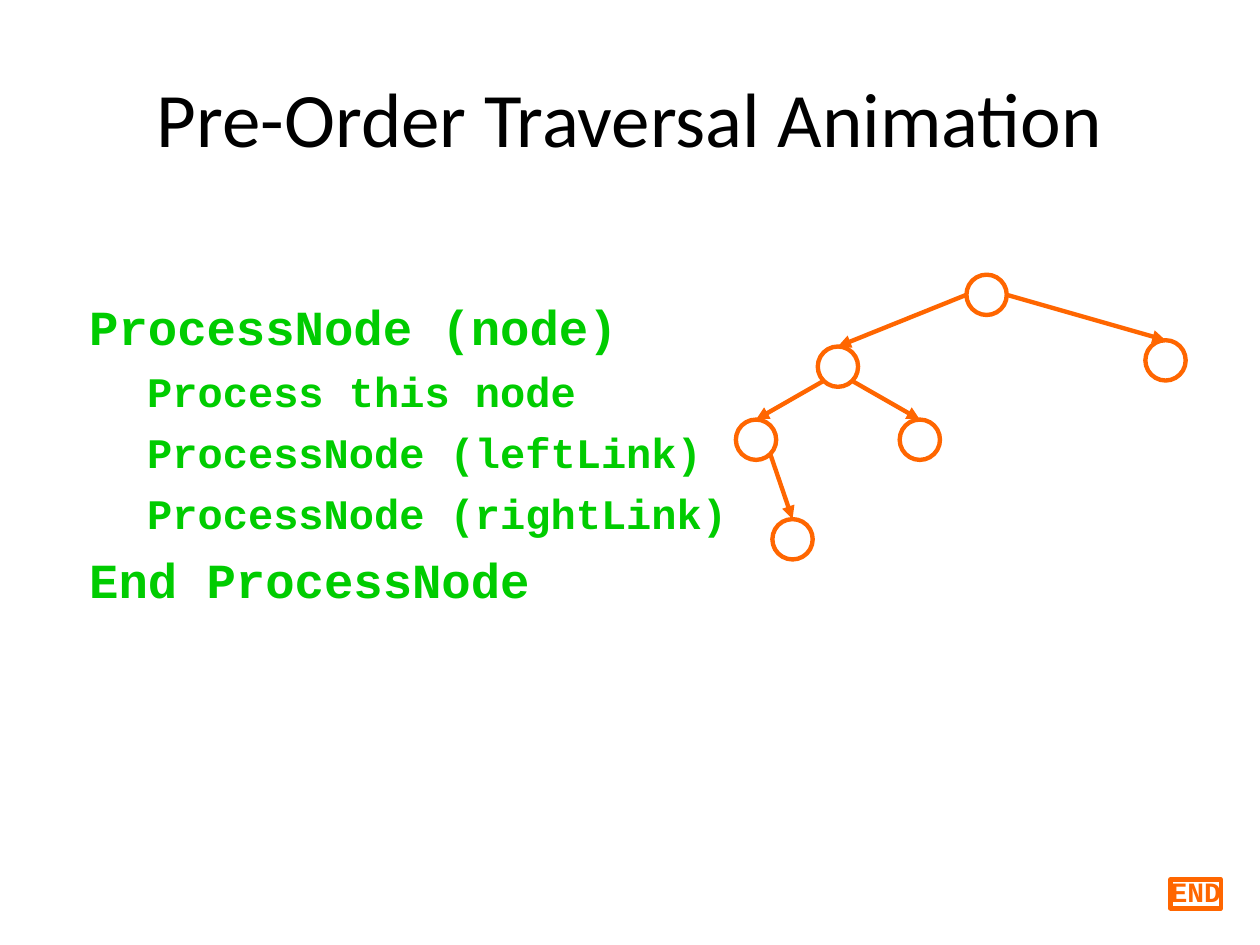
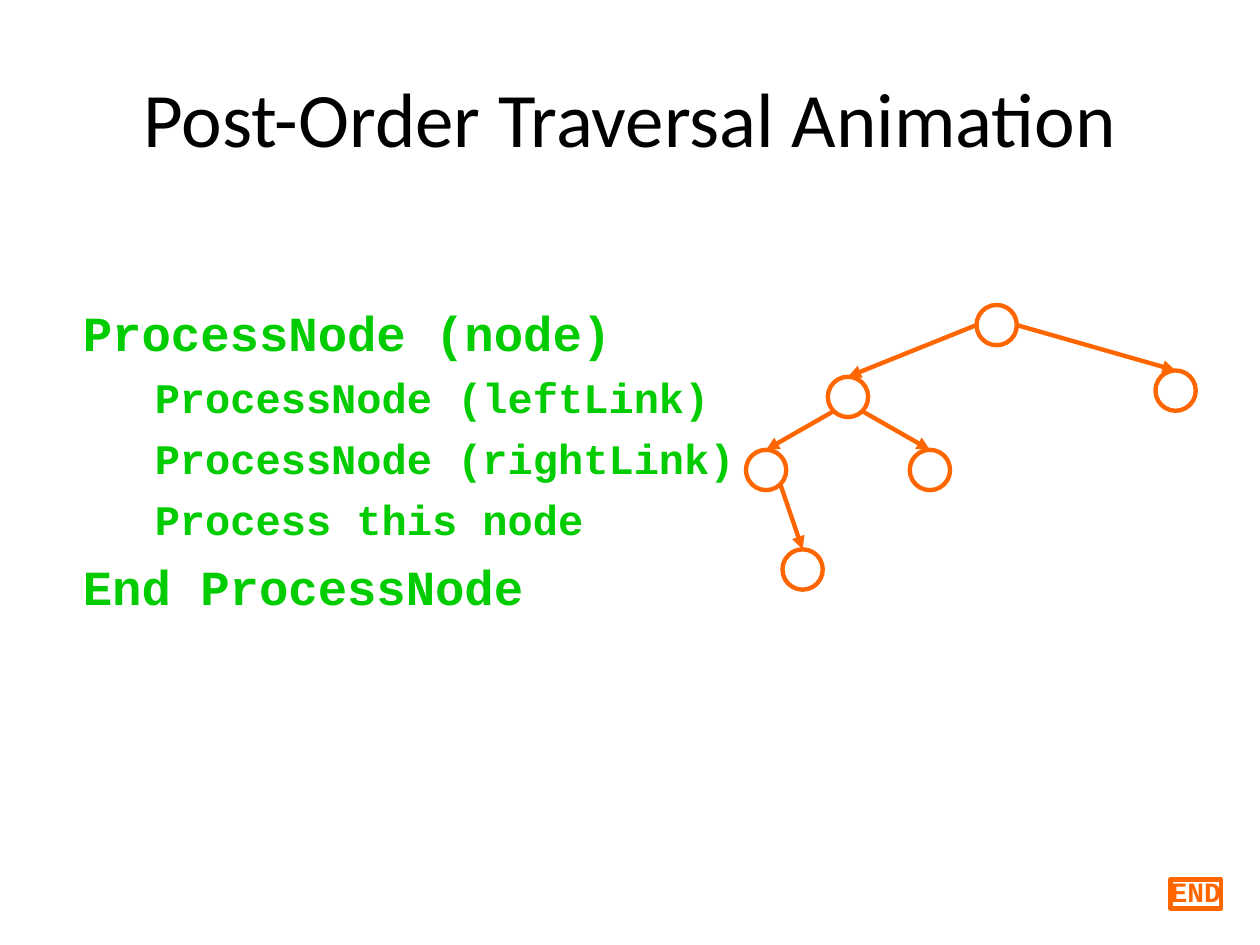
"""Build two slides that set traversal pseudocode beside a binary tree."""
import math
from dataclasses import dataclass

import lxml.etree
import pptx
import pptx.dml.color
import pptx.enum.shapes
import pptx.enum.text
import pptx.oxml.ns
import pptx.util
from pptx.util import Inches

BLACK = pptx.dml.color.RGBColor(0x00, 0x00, 0x00)
WHITE = pptx.dml.color.RGBColor(0xFF, 0xFF, 0xFF)
GREEN = pptx.dml.color.RGBColor(0x00, 0xCC, 0x00)
ORANGE = pptx.dml.color.RGBColor(0xFF, 0x66, 0x00)

TITLE_FONT = {"name": "Calibri", "size": pptx.util.Pt(44), "bold": False}
OUTER_FONT = {"name": "Courier New", "size": pptx.util.Pt(28), "bold": True}
INNER_FONT = OUTER_FONT | {"size": pptx.util.Pt(24)}
END_FONT = OUTER_FONT | {"size": pptx.util.Pt(16)}

LINE_WIDTH = pptx.util.Pt(2.5)
NODE_SIZE = 0.32
OUTER_INDENT = 0.81
TITLE_ONLY_LAYOUT = 5


@dataclass(frozen=True)
class TreeNode:
    """A circle, placed relative to the root of the tree."""

    name: str
    left: float
    top: float


@dataclass(frozen=True)
class Branch:
    """An arrow leaving the parent's rim at an angle, to the top of the child."""

    parent: str
    child: str
    degrees: float


@dataclass(frozen=True)
class Traversal:
    """The content that differs from slide to slide."""

    title: str
    steps: tuple[str, ...]
    code_left: float
    code_top: float
    step_indent: float
    tree_left: float
    tree_top: float


NODES = (
    TreeNode("root", 0, 0),
    TreeNode("left", -1.18, 0.57),
    TreeNode("right", 1.42, 0.52),
    TreeNode("left left", -1.83, 1.15),
    TreeNode("left right", -0.53, 1.15),
    TreeNode("leaf", -1.54, 1.94),
)
BRANCHES = (
    Branch("root", "left", 180),
    Branch("left", "left left", 135),
    Branch("left", "left right", 45),
    Branch("left left", "leaf", 45),
    Branch("root", "right", 0),
)
VISIT = "Process this node"
RECURSE = ("ProcessNode (leftLink)", "ProcessNode (rightLink)")
TRAVERSALS = (
    Traversal("Pre-Order Traversal Animation", (VISIT, *RECURSE),
              -0.2, 1.64, 1.27, 7.67, 2.18),
    Traversal("Post-Order Traversal Animation", (*RECURSE, VISIT),
              -0.25, 1.69, 1.38, 7.75, 2.42),
)


def apply_format(target, values: dict) -> None:
    """Set every attribute named in a dict of format values."""
    for name, value in values.items():
        setattr(target, name, value)


def write_paragraph(paragraph, text: str, font: dict, color) -> None:
    """Write one run of formatted text."""
    run = paragraph.add_run()
    run.text = text
    apply_format(run.font, font)
    run.font.color.rgb = color


def draw_outline(line) -> None:
    """Give a shape or connector the shared orange line."""
    line.color.rgb = ORANGE
    line.width = LINE_WIDTH


def draw_title(slide, text: str) -> None:
    """Place and format the title placeholder."""
    title = slide.shapes.title
    apply_format(title, {"left": Inches(0.5), "top": Inches(0.3),
                         "width": Inches(9), "height": Inches(1.25)})
    title.text_frame.vertical_anchor = pptx.enum.text.MSO_ANCHOR.MIDDLE
    paragraph = title.text_frame.paragraphs[0]
    paragraph.alignment = pptx.enum.text.PP_ALIGN.CENTER
    write_paragraph(paragraph, text, TITLE_FONT, BLACK)


def draw_code(slide, traversal: Traversal) -> None:
    """Write the pseudocode with its steps indented."""
    box = slide.shapes.add_textbox(Inches(traversal.code_left), Inches(traversal.code_top),
                                   Inches(8.98), Inches(5.28))
    frame = box.text_frame
    apply_format(frame, {"word_wrap": True, "margin_top": Inches(0.71)})
    outer = (0, OUTER_INDENT, OUTER_FONT, 7)
    inner = (1, traversal.step_indent, INNER_FONT, 6)
    lines = [("ProcessNode (node)", outer),
             *((step, inner) for step in traversal.steps),
             ("End ProcessNode", outer)]
    for index, (text, (level, indent, font, space)) in enumerate(lines):
        paragraph = frame.add_paragraph() if index else frame.paragraphs[0]
        apply_format(paragraph, {"level": level,
                                 "space_before": pptx.util.Pt(space if index else 0)})
        paragraph._p.get_or_add_pPr().set("marL", str(Inches(indent)))
        write_paragraph(paragraph, text, font, GREEN)


def draw_node(slide, node: TreeNode, traversal: Traversal):
    """Draw one tree node and return its shape."""
    circle = slide.shapes.add_shape(
        pptx.enum.shapes.MSO_SHAPE.OVAL,
        Inches(traversal.tree_left + node.left), Inches(traversal.tree_top + node.top),
        Inches(NODE_SIZE), Inches(NODE_SIZE))
    circle.shadow.inherit = False
    circle.fill.solid()
    circle.fill.fore_color.rgb = WHITE
    draw_outline(circle.line)
    return circle


def draw_branch(slide, parent, child, degrees: float) -> None:
    """Draw an arrow from the parent's rim to the top of the child."""
    radius = parent.width / 2
    angle = math.radians(degrees)
    start_x = round(parent.left + radius * (1 + math.cos(angle)))
    start_y = round(parent.top + radius * (1 + math.sin(angle)))
    arrow = slide.shapes.add_connector(
        pptx.enum.shapes.MSO_CONNECTOR.STRAIGHT,
        start_x, start_y, child.left + child.width // 2, child.top)
    arrow.end_connect(child, 0)
    draw_outline(arrow.line)
    line_element = arrow.line._get_or_add_ln()
    lxml.etree.SubElement(line_element, pptx.oxml.ns.qn("a:tailEnd"), type="triangle")
    lxml.etree.SubElement(arrow._element.spPr, pptx.oxml.ns.qn("a:effectLst"))


def draw_tree(slide, traversal: Traversal) -> None:
    """Draw the nodes and the branches between them."""
    circles = {node.name: draw_node(slide, node, traversal) for node in NODES}
    for branch in BRANCHES:
        draw_branch(slide, circles[branch.parent], circles[branch.child], branch.degrees)


def draw_end_marker(slide) -> None:
    """Draw the END box in the bottom right corner."""
    marker = slide.shapes.add_shape(pptx.enum.shapes.MSO_SHAPE.RECTANGLE, Inches(9.29),
                                    Inches(6.98), Inches(0.4), Inches(0.23))
    marker.shadow.inherit = False
    marker.fill.background()
    draw_outline(marker.line)
    apply_format(marker.text_frame, {
        "margin_left": 0, "margin_top": 0, "margin_right": 0, "margin_bottom": 0,
        "word_wrap": False, "auto_size": pptx.enum.text.MSO_AUTO_SIZE.SHAPE_TO_FIT_TEXT,
        "vertical_anchor": pptx.enum.text.MSO_ANCHOR.MIDDLE})
    paragraph = marker.text_frame.paragraphs[0]
    apply_format(paragraph, {"alignment": pptx.enum.text.PP_ALIGN.CENTER,
                             "line_spacing": 0.85})
    write_paragraph(paragraph, "END", END_FONT, ORANGE)


def main() -> None:
    """Build and save the presentation."""
    presentation = pptx.Presentation()
    apply_format(presentation, {"slide_width": Inches(10), "slide_height": Inches(7.5)})
    for traversal in TRAVERSALS:
        slide = presentation.slides.add_slide(presentation.slide_layouts[TITLE_ONLY_LAYOUT])
        draw_title(slide, traversal.title)
        draw_code(slide, traversal)
        draw_tree(slide, traversal)
        draw_end_marker(slide)
    presentation.save("out.pptx")


if __name__ == "__main__":
    main()
